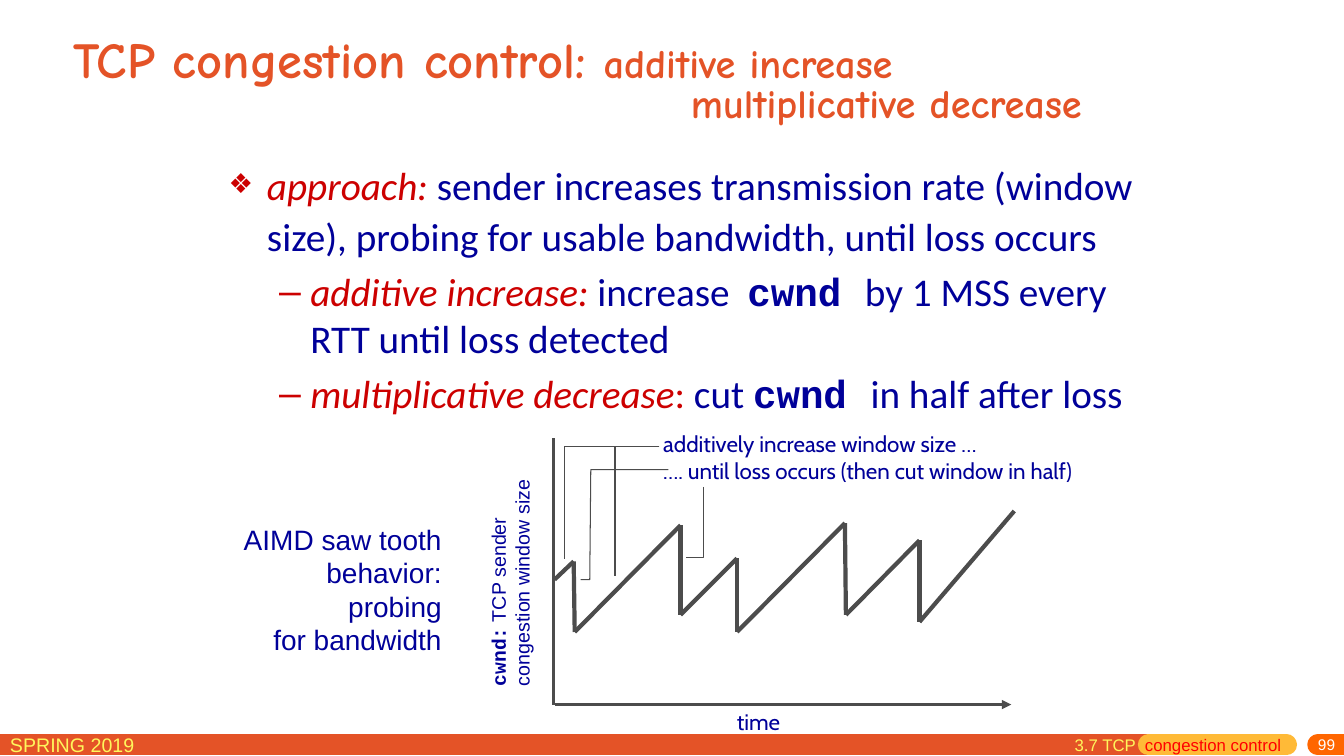
"""Build the TCP congestion control slide: AIMD rules and the saw tooth diagram."""
from dataclasses import dataclass
from itertools import pairwise

from lxml.etree import SubElement
from pptx import Presentation
from pptx.dml.color import RGBColor
from pptx.enum.shapes import MSO_CONNECTOR
from pptx.enum.text import MSO_ANCHOR, PP_ALIGN
from pptx.oxml.ns import qn
from pptx.util import Pt

PX = 9144


@dataclass(frozen=True)
class Theme:
    orange: str = "E45327"
    amber: str = "FFBA37"
    badge: str = "FF6600"
    yellow: str = "FFF65C"
    white: str = "FFFFFF"
    navy: str = "000099"
    crimson: str = "CC0000"
    red: str = "FF0000"
    grey: str = "4C4C4C"
    title: float = 36
    subtitle: float = 28.8
    body: float = 28
    note: float = 20
    label: float = 16
    small: float = 14
    section: float = 12
    number: float = 11


T = Theme()

prs = Presentation()
prs.slide_width, prs.slide_height = 1333 * PX, 750 * PX
s = prs.slides.add_slide(prs.slide_layouts[6])


def add_text(box, paragraphs, size, font, color, align=PP_ALIGN.LEFT, wrap=True):
    """Add a text box; each run is its text and an optional dict of differences."""
    sp = s.shapes.add_textbox(*(v * PX for v in box))
    tf = sp.text_frame
    tf.word_wrap = wrap
    for i, runs in enumerate(paragraphs):
        p = tf.paragraphs[0] if i == 0 else tf.add_paragraph()
        p.alignment = align
        for text, diff in runs:
            if text == "\v":
                p.add_line_break()
                continue
            r = p.add_run()
            r.text = text
            r.font.size = Pt(diff.get("size", size))
            r.font.name = diff.get("font", font)
            r.font.color.rgb = RGBColor.from_string(diff.get("color", color))
            r.font.bold = diff.get("bold", False)
            r.font.italic = diff.get("italic", False)
    return sp


def add_line(start, end, color, width):
    """Add a straight line without a shadow and return its line properties."""
    cx = s.shapes.add_connector(MSO_CONNECTOR.STRAIGHT, *(v * PX for v in start + end))
    cx.line.color.rgb = RGBColor.from_string(color)
    cx.line.width = Pt(width)
    SubElement(cx._element.spPr, qn("a:effectLst"))
    return cx._element.spPr.find(qn("a:ln"))


for left, right, color in [(0, 1139, T.orange), (1139, 1276, T.amber), (1307, 1333, T.badge)]:
    ln = add_line((left, 739), (right, 739), color, 15)
    ln.set("cap", "rnd")

add_text((0, 722, 229, 31), [[("SPRING 2019", {})]], T.small, "Arial", T.yellow)
sp = add_text((1075, 732, 259, 18), [[("99", {})]], T.number, "Arial", T.white, PP_ALIGN.RIGHT)
tf = sp.text_frame
tf.vertical_anchor = MSO_ANCHOR.MIDDLE
tf.margin_top, tf.margin_bottom = 0, 5 * PX

sp = add_text((-50, 37, 1133, 91), [
    [("TCP congestion control: ", {"size": T.title}), ("additive increase", {})],
    [("multiplicative decrease", {})],
], T.subtitle, "Comic Neue", T.orange)
tf = sp.text_frame
tf.vertical_anchor = MSO_ANCHOR.MIDDLE
for p in tf.paragraphs:
    p.line_spacing = 0.8
    for r in p.runs:
        r.font.bold = True
tf.paragraphs[0]._p.get_or_add_pPr().set("marL", str(113 * PX))
tf.paragraphs[1].alignment = PP_ALIGN.RIGHT

term = {"color": T.crimson, "italic": True}
code = {"font": "Courier New", "bold": True}
sp = add_text((217, 150, 920, 158), [
    [("approach: ", term),
     ("sender increases transmission rate (window size), probing for usable bandwidth, "
      "until loss occurs", {})],
    [("additive increase: ", term), ("increase  ", {}), ("cwnd ", code),
     ("by 1 MSS every RTT until loss detected", {})],
    [("multiplicative decrease", term), (": ", {"color": T.crimson}), ("cut ", {}),
     ("cwnd ", code), ("in half after loss", {})],
], T.body, "Calibri", T.navy)
bullets = [("❖", 38, 38, 70), ("–", 81, 31, 100), ("–", 81, 31, 100)]
for p, (char, margin, hang, percent) in zip(sp.text_frame.paragraphs, bullets):
    p.space_before = Pt(5.6)
    pPr = p._p.get_or_add_pPr()
    pPr.set("marL", str(margin * PX))
    pPr.set("indent", str(-hang * PX))
    SubElement(SubElement(pPr, qn("a:buClr")), qn("a:srgbClr")).set("val", T.crimson)
    SubElement(pPr, qn("a:buSzPct")).set("val", str(percent * 1000))
    SubElement(pPr, qn("a:buFont")).set("typeface", "Arial")
    SubElement(pPr, qn("a:buChar")).set("char", char)
sp.text_frame.paragraphs[0].line_spacing = 1.1

sp = add_text((393, 549, 226, 57), [
    [("cwnd:", code), (" TCP sender", {})],
    [("congestion window size", {})],
], T.small, "Arial", T.navy, wrap=False)
sp.rotation = 270
sp.fill.solid()
sp.fill.fore_color.rgb = RGBColor.from_string(T.white)

add_text((213, 513, 235, 110), [
    [("AIMD saw tooth", {})],
    [("behavior:", {}), ("\v", {}), ("probing", {})],
    [("for bandwidth", {})],
], T.note, "Arial", T.navy, PP_ALIGN.RIGHT)

ln = add_line((550, 699), (1003, 699), T.grey, 2.25)
SubElement(ln, qn("a:tailEnd")).set("type", "triangle")
add_line((549, 435), (549, 699), T.grey, 2.25)

saw_tooth = [(550, 575), (569, 557), (570, 627), (675, 521), (675, 610), (731, 554),
             (731, 627), (838, 519), (839, 610), (912, 536), (912, 617), (1006, 507)]
for start, end in pairwise(saw_tooth):
    add_line(start, end, T.grey, 3)

add_text((648, 422, 467, 64), [
    [("additively increase window size …", {})],
    [("…. until loss occurs (then cut window in half)", {})],
], T.label, "Cabin", T.navy, wrap=False)

leaders = [
    [(654, 443), (560, 443), (560, 555)],
    [(663, 466), (586, 466), (585, 575), (576, 575)],
    [(654, 443), (610, 443), (610, 571)],
    [(698, 483), (698, 553), (680, 553)],
]
for first, *rest in leaders:
    fb = s.shapes.build_freeform(*first, scale=PX)
    fb.add_line_segments(rest, close=False)
    sp = fb.convert_to_shape()
    sp.shadow.inherit = False
    sp.fill.background()
    sp.line.color.rgb = RGBColor.from_string(T.grey)
    sp.line.width = Pt(0.75)

add_text((721, 698, 63, 37), [[("time", {})]], T.label, "Cabin", T.navy, wrap=False)
add_text((1056, 724, 233, 31), [
    [("3.7 TCP  ", {}), ("congestion control", {"color": T.red})],
], T.section, "Arial", T.yellow)

prs.save("out.pptx")
